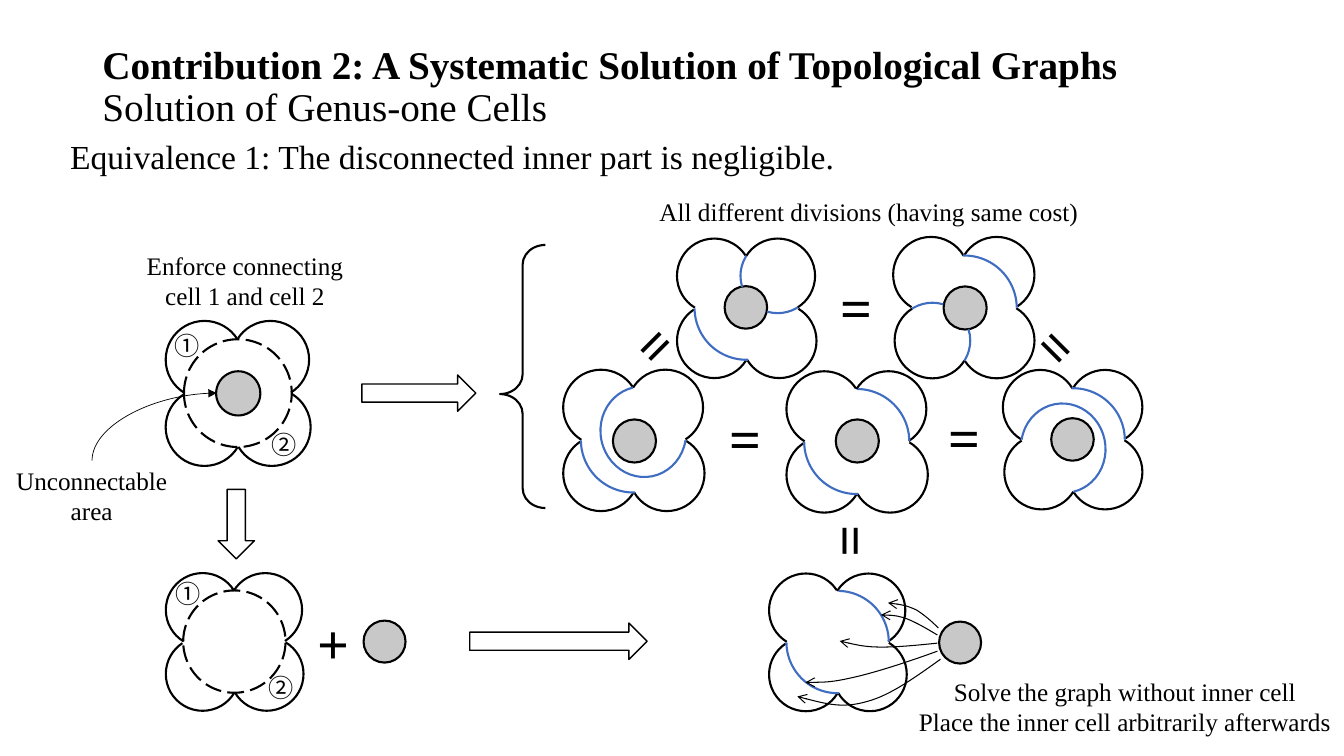
from lxml import etree
from pptx import Presentation
from pptx import util as u
from pptx.dml.color import RGBColor
from pptx.enum import dml, shapes, text
from pptx.oxml.ns import qn

Pt = u.Pt
Kind = shapes.MSO_SHAPE
Align = text.PP_ALIGN
HUES = {"ink": "000000", "seed": "C8C8C8", "cut": "3F6DC1"}
SERIF, CJK = "Times New Roman", "Noto Sans CJK SC"

deck = Presentation()
deck.slide_width, deck.slide_height = Pt(960), Pt(540)
slide = deck.slides.add_slide(deck.slide_layouts[5])
items = slide.shapes


def draw(kind, mid, size, hue="ink", width=1.5, adjust=(), turn=0):
    """Add an outlined, unfilled shape centred on mid."""
    (x, y), (w, h) = mid, size
    shape = items.add_shape(kind, Pt(x - w / 2), Pt(y - h / 2), Pt(w), Pt(h))
    shape.rotation = turn
    shape.shadow.inherit = False
    shape.fill.background()
    shape.line.color.rgb = RGBColor.from_string(HUES[hue])
    shape.line.width = Pt(width)
    for i, value in enumerate(adjust):
        shape.adjustments[i] = value
    return shape


def write(lines, box, size=18, font=SERIF, bold=False, align=Align.LEFT, turn=0):
    label = items.add_textbox(*map(Pt, box))
    label.rotation = turn
    frame = label.text_frame
    frame.word_wrap = True
    frame.auto_size = text.MSO_AUTO_SIZE.SHAPE_TO_FIT_TEXT
    frame.text = "\n".join(lines)
    for para in frame.paragraphs:
        para.alignment = align
        para.font.size, para.font.name, para.font.bold = Pt(size), font, bold
        para.font.color.rgb = RGBColor.from_string(HUES["ink"])
    return frame


# Headings
title = items.title
title.left, title.top, title.width, title.height = map(Pt, (66, 29, 828, 81))
frame = title.text_frame
frame.vertical_anchor = text.MSO_ANCHOR.TOP
frame.word_wrap = True
para = frame.paragraphs[0]
para.alignment = Align.LEFT
para.line_spacing = 0.9
para.font.size, para.font.name = Pt(28), SERIF
para.font.color.rgb = RGBColor.from_string(HUES["ink"])
for words, bold in (
    ("Contribution 2: A Systematic Solution of Topological Graphs ", True),
    ("Solution of Genus-one Cells", False),
):
    run = para.add_run()
    run.text, run.font.bold = words, bold
lead = write(["Equivalence 1: The disconnected inner part is negligible."],
             (43, 97, 752, 48), 24)
lead.paragraphs[0].line_spacing = 0.9

# Arcs: offset and size in petal widths, tilt, start and end in degrees
PETALS = [
    (0.42, -0.43, 1, 1, 0, 211.7, 57.6),
    (-0.43, -0.43, 1, 1, 0, 121.3, 326.8),
    (-0.43, 0.44, 1, 1, 0, 31.3, 236.7),
    (0.44, 0.44, 1, 1, 0, 300.9, 149.5),
]
LOW = (0, 0, 1.39, 1.39, 0, 88.5, 179.6)
HIGH = (0, 0, 1.39, 1.39, 0, 271.1, 359.6)
SWIRL = (0.13, -0.11, 1.2, 1.13, 258.5, 112.9, 358.2)
SPOKES = [(0.42, -0.43, 1, 1, 0, 57.3, 106.6), (0.42, -0.43, 1, 1, 0, 162.6, 212.6)]

# Centre, petal width, half turn, seed centre, blue cuts
BLOOMS = [
    ((169.9, 280.8), 55.4, False, (170.2, 281), []),
    ((167.4, 458.3), 52.6, False, (274.7, 458.3), []),
    ((598.3, 458.6), 52.6, False, (685.8, 459), [LOW, HIGH]),
    ((452.5, 314.3), 54, False, (453.2, 315), [LOW, SWIRL]),
    ((533.2, 220), 53.3, False, (532.8, 219.6), [LOW, *SPOKES]),
    ((612, 315.4), 54, False, (612.4, 315), [LOW, HIGH]),
    ((688.7, 220), 54, True, (689.4, 220), [LOW, *SPOKES]),
    ((766.4, 314.3), 53.3, True, (766.1, 313.9), [LOW, SWIRL]),
]
for (x, y), petal, turned, spot, cuts in BLOOMS:
    seed = draw(Kind.OVAL, spot, (petal * 0.57,) * 2)
    seed.fill.solid()
    seed.fill.fore_color.rgb = RGBColor.from_string(HUES["seed"])
    if not cuts:
        ring = draw(Kind.OVAL, (x, y), (petal * 1.39,) * 2)
        ring.line.dash_style = dml.MSO_LINE.LONG_DASH
    sign = -1 if turned else 1
    for hue, arcs in (("ink", PETALS), ("cut", cuts)):
        for dx, dy, w, h, tilt, start, end in arcs:
            draw(Kind.ARC, (x + sign * dx * petal, y + sign * dy * petal),
                 (w * petal, h * petal), hue, adjust=(start * 0.6, end * 0.6),
                 turn=(tilt + 180 * turned) % 360)

# Curved arrows from the loose seed
CURVES = [
    [(670.3, 448.6), (665.3, 443.5), (660.2, 439.2), (654.5, 435.6),
     (648, 432.7), (641.5, 431.3), (634.3, 430.6)],
    [(669.6, 453.6), (662.4, 449.3), (655.2, 445), (648, 442.1),
     (641.5, 439.9), (635.8, 439.2), (629.3, 439.2)],
    [(669.6, 459.4), (655.9, 460.8), (642.2, 462.2), (630, 462.2),
     (618.5, 462.2), (609.1, 460.1), (599.8, 457.9)],
    [(669.6, 465.1), (648, 473), (625.7, 480.2), (609.8, 483.8),
     (594, 487.4), (584.6, 487.4), (575.3, 487.4)],
    [(671.8, 470.9), (653.8, 483.8), (635.8, 496.8), (619.2, 501.1),
     (601.9, 506.2), (586.1, 501.8), (569.5, 497.5)],
]
for first, *rest in CURVES:
    pen = items.build_freeform(*map(Pt, first))
    pen.add_line_segments([(Pt(x), Pt(y)) for x, y in rest], close=False)
    curve = pen.convert_to_shape()
    curve.shadow.inherit = False
    curve.fill.background()
    curve.line.color.rgb = RGBColor.from_string(HUES["ink"])
    curve.line.width = Pt(0.75)
    etree.SubElement(curve.line._get_or_add_ln(), qn("a:tailEnd"), type="arrow")
    track = next(curve._element.iter(qn("a:path")))
    steps = track.findall(qn("a:lnTo"))
    for i in range(0, len(steps), 3):
        bend = etree.SubElement(track, qn("a:cubicBezTo"))
        for step in steps[i:i + 3]:
            bend.append(step[0])
            track.remove(step)

# Pointer to the unconnectable area
link = items.add_connector(shapes.MSO_CONNECTOR.CURVE,
                           *map(Pt, (154.8, 280.8, 65.8, 329)))
link.line.color.rgb = RGBColor.from_string(HUES["ink"])
link.line.width = Pt(0.5)
etree.SubElement(link.line._get_or_add_ln(), qn("a:headEnd"), type="triangle")
props = link._element.spPr
etree.SubElement(props, qn("a:effectLst"))
props.find(qn("a:prstGeom")).set("prst", "curvedConnector2")

# Block arrows and brace
draw(Kind.DOWN_ARROW, (168.8, 374.4), (26, 49.7), width=1)
draw(Kind.RIGHT_ARROW, (299.2, 280.8), (81.4, 26), width=1)
draw(Kind.RIGHT_ARROW, (398.9, 458), (126.7, 26), width=1)
draw(Kind.LEFT_BRACE, (373.3, 268.9), (32.4, 187.9), adjust=(0.435, 0.567))

# Signs
for sign, box, turn in (
    ("+", (219.6, 431.3, 32.4, 55.4), 0),
    ("=", (466.6, 230.4, 25.2, 40.3), 135),
    ("=", (743, 221, 33.8, 40.3), 45),
    ("=", (514.1, 284.4, 25.2, 40.3), 0),
    ("=", (670.3, 283.7, 25.2, 40.3), 0),
    ("=", (593.3, 190.8, 36, 55.4), 0),
    ("=", (592.6, 357.8, 34.6, 55.4), 90),
):
    write([sign], box, 40, bold=True, turn=turn)

# Labels
for digit, x, y in (("①", 117.4, 232.6), ("②", 187.2, 303.1),
                    ("①", 118.1, 409.7), ("②", 185, 476.6)):
    write([digit], (x, y, 36, 28.8), font=CJK)
for lines, box in (
    (["Enforce connecting", "cell 1 and cell 2"], (85, 175, 180, 51)),
    (["Unconnectable", "area"], (3.6, 329, 123.8, 51)),
    (["All different divisions (having same cost)"], (463.7, 136.8, 313.9, 28.8)),
    (["Solve the graph without inner cell",
      "Place the inner cell arbitrarily afterwards"], (643, 479.5, 321.1, 51)),
):
    write(lines, box, align=Align.CENTER)

deck.save("out.pptx")
